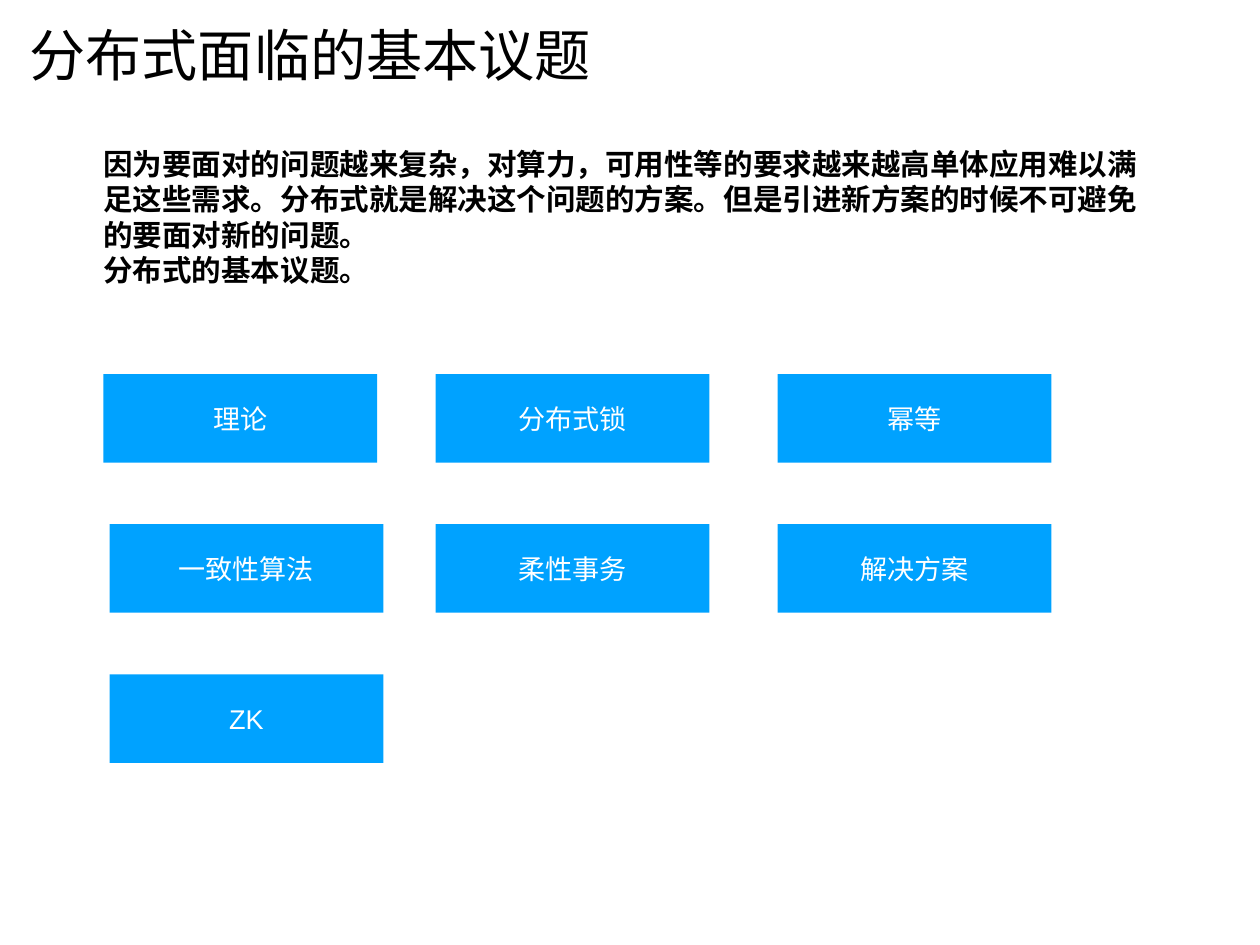
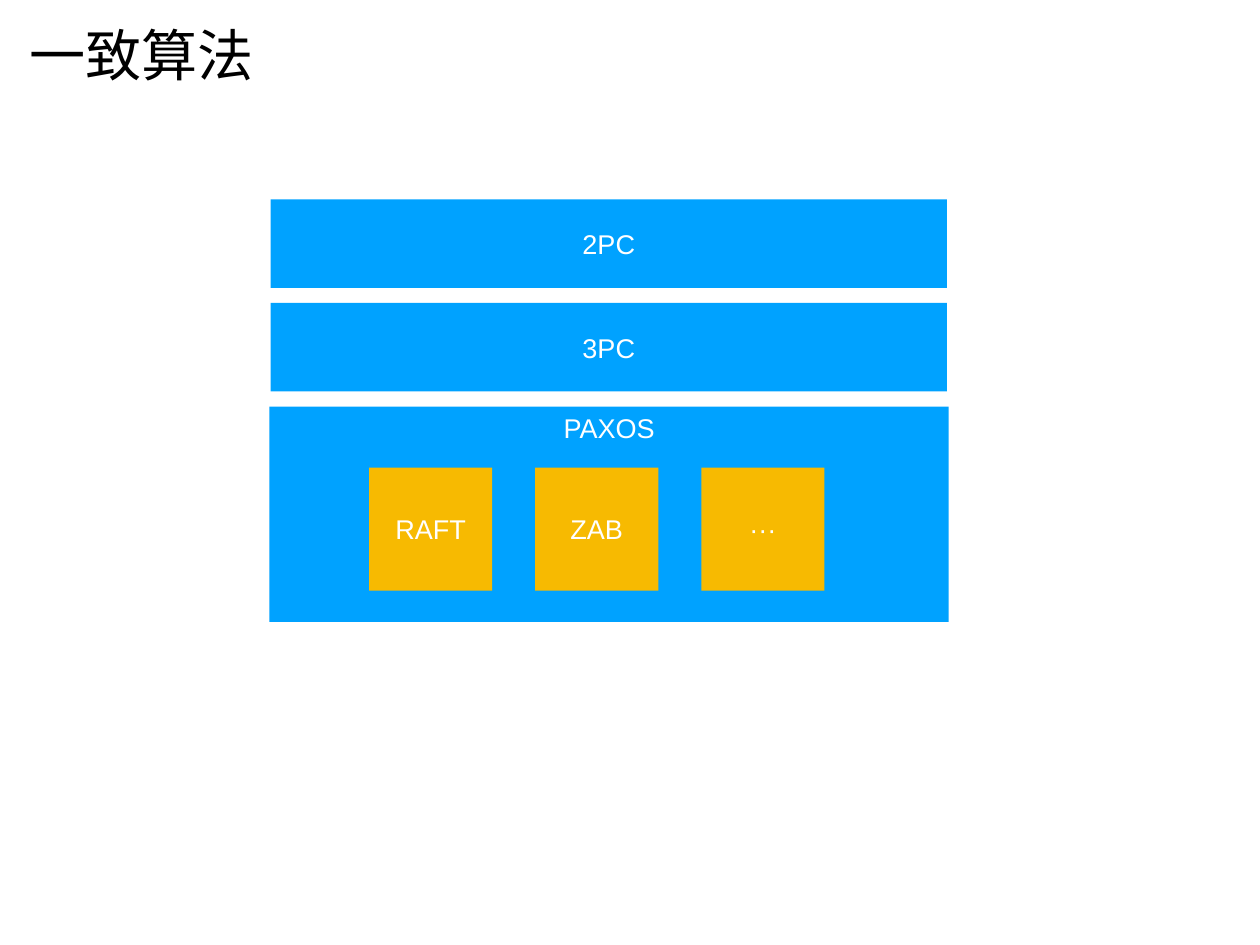
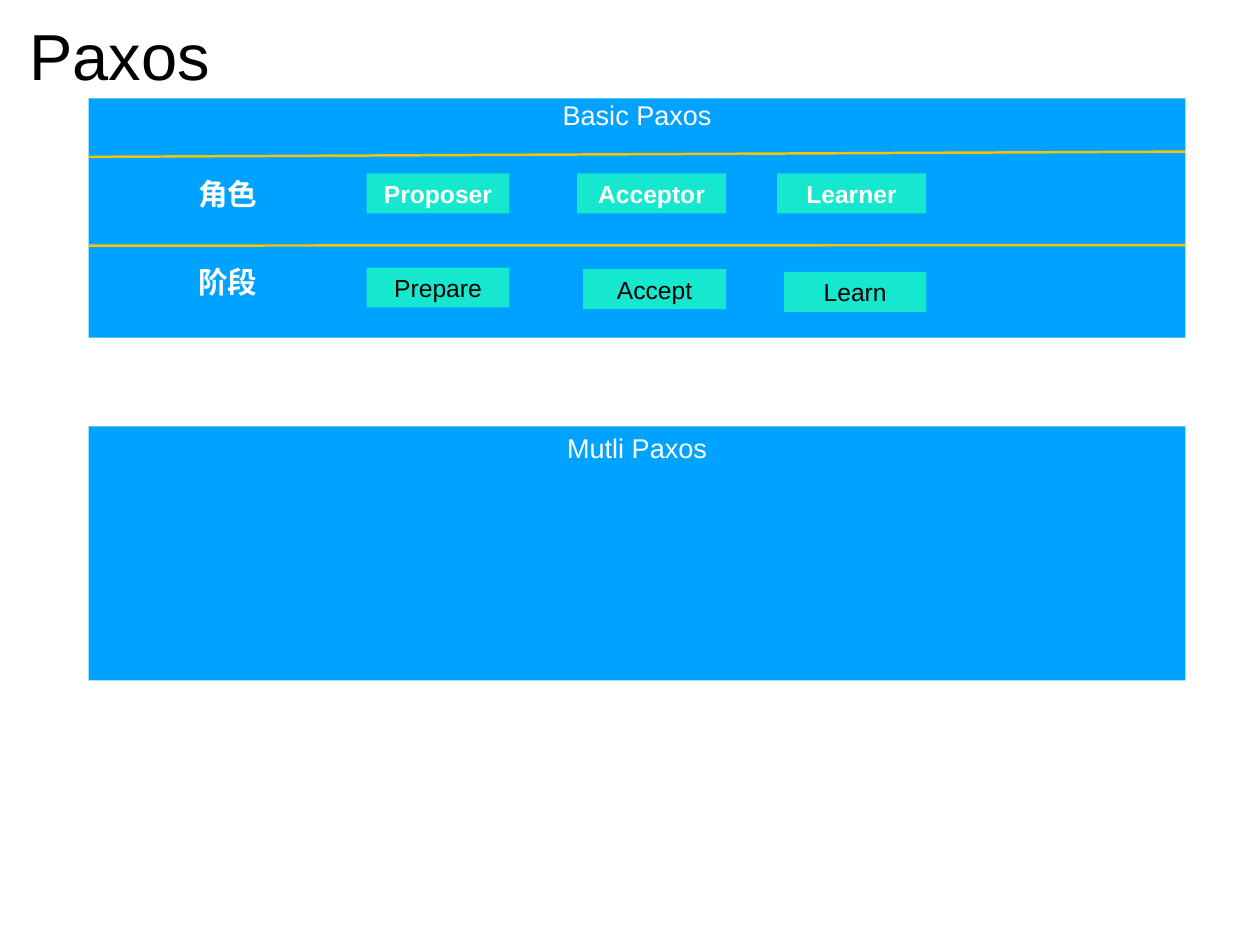
from dataclasses import dataclass

from lxml import etree
from pptx import Presentation
from pptx.dml.color import RGBColor
from pptx.enum.shapes import MSO_CONNECTOR as Link, MSO_SHAPE as Form
from pptx.enum.text import MSO_ANCHOR as Anchor, MSO_AUTO_SIZE as Fit, PP_ALIGN as Align
from pptx.oxml.ns import qn
from pptx.presentation import Presentation as Deck
from pptx.slide import Slide
from pptx.text.text import TextFrame
from pptx.util import Pt

WHITE = RGBColor(0xFF, 0xFF, 0xFF)
BLACK = RGBColor(0x00, 0x00, 0x00)
BLUE = RGBColor(0x00, 0xA2, 0xFF)
AMBER = RGBColor(0xF7, 0xBA, 0x01)
GOLD = RGBColor(0xFF, 0xC0, 0x00)
TEAL = RGBColor(0x16, 0xE7, 0xCF)
FONT = "Arial"
PAD = 4


@dataclass(frozen=True)
class Box:
    text: str
    x: float
    y: float
    w: float
    h: float
    fill: RGBColor = BLUE
    size: float = 22
    ink: RGBColor = WHITE
    bold: bool = False
    anchor: Anchor = Anchor.MIDDLE
    top: float = PAD
    grow: bool = False


@dataclass(frozen=True)
class Rule:
    x1: float
    y1: float
    x2: float
    y2: float


def write(frame: TextFrame, text: str, *, size: float, ink: RGBColor = BLACK,
          bold: bool = False, align: Align = Align.LEFT,
          anchor: Anchor = Anchor.MIDDLE, top: float = PAD, grow: bool = False) -> None:
    frame.word_wrap = True
    frame.auto_size = Fit.SHAPE_TO_FIT_TEXT if grow else Fit.NONE
    frame.vertical_anchor = anchor
    frame.margin_left = frame.margin_right = frame.margin_bottom = Pt(PAD)
    frame.margin_top = Pt(top)
    frame.text = text
    for para in frame.paragraphs:
        para.alignment = align
        for run in para.runs:
            font = run.font
            font.name, font.size, font.bold = FONT, Pt(size), bold
            font.color.rgb = ink


def page(deck: Deck, text: str, size: float = 45.6) -> Slide:
    slide = deck.slides.add_slide(deck.slide_layouts.get_by_name("Title Only"))
    title = slide.shapes.title
    title.left, title.top, title.width, title.height = Pt(20), Pt(8), Pt(984), Pt(72)
    write(title.text_frame, text, size=size)
    return slide


def block(slide: Slide, box: Box) -> None:
    shape = slide.shapes.add_shape(Form.RECTANGLE, Pt(box.x), Pt(box.y), Pt(box.w), Pt(box.h))
    shape.shadow.inherit = False
    shape.fill.solid()
    shape.fill.fore_color.rgb = box.fill
    shape.line.fill.background()
    write(shape.text_frame, box.text, size=box.size, ink=box.ink, bold=box.bold,
          align=Align.CENTER, anchor=box.anchor, top=box.top, grow=box.grow)


def note(slide: Slide, text: str, x: float, y: float, w: float, h: float,
         ink: RGBColor = BLACK, align: Align = Align.LEFT) -> None:
    shape = slide.shapes.add_textbox(Pt(x), Pt(y), Pt(w), Pt(h))
    write(shape.text_frame, text, size=24, ink=ink, bold=True, align=align, grow=True)


def draw(slide: Slide, rule: Rule) -> None:
    line = slide.shapes.add_connector(
        Link.STRAIGHT, Pt(rule.x1), Pt(rule.y1), Pt(rule.x2), Pt(rule.y2))
    line.line.color.rgb = GOLD
    line.line.width = Pt(2)
    etree.SubElement(line._element.spPr, qn("a:effectLst"))


def topics(deck: Deck) -> None:
    slide = page(deck, "分布式面临的基本议题")
    note(slide, "因为要面对的问题越来复杂，对算力，可用性等的要求越来越高单体应用难以满足这些需求。"
                "分布式就是解决这个问题的方案。但是引进新方案的时候不可避免的要面对新的问题。\n"
                "分布式的基本议题。", 80, 106.5, 864.5, 139.5)
    rows = [
        (84, ["理论", "分布式锁", "幂等"]),
        (89, ["一致性算法", "柔性事务", "解决方案"]),
        (89, ["ZK"]),
    ]
    for row, (left, names) in enumerate(rows):
        for x, name in zip((left, 354, 632), names):
            block(slide, Box(name, x, 304 + 122 * row, 222.5, 72))


def methods(deck: Deck) -> None:
    slide = page(deck, "一致算法")
    top, step = 162, 84.2
    for i, name in enumerate(["2PC", "3PC"]):
        block(slide, Box(name, 220, top + step * i, 549.5, 72))
    block(slide, Box("PAXOS", 219, top + step * 2, 552, 175, anchor=Anchor.TOP))
    for i, name in enumerate(["RAFT", "ZAB", "···"]):
        block(slide, Box(name, 300 + 135 * i, 380, 100, 100, fill=AMBER))


def paxos(deck: Deck) -> None:
    slide = page(deck, "Paxos", size=52.8)
    left, wide = 72, 891.5
    block(slide, Box("Basic Paxos", left, 80, wide, 194.5, anchor=Anchor.TOP, top=0))
    block(slide, Box("Mutli Paxos", left, 346.5, wide, 206.5, anchor=Anchor.TOP))
    roles = [("Proposer", 298, 116), ("Acceptor", 469, 121), ("Learner", 631.5, 121)]
    for name, x, w in roles:
        block(slide, Box(name, x, 141, w, 32.4, fill=TEAL, size=20, bold=True, grow=True))
    steps = [("Prepare", 298, 217.5), ("Accept", 474, 218.8), ("Learn", 637, 221)]
    for name, x, y in steps:
        block(slide, Box(name, x, y, 116, 32.4, fill=TEAL, size=20, ink=BLACK, grow=True))
    for name, y in [("角色", 139), ("阶段", 210.5)]:
        note(slide, name, 147, y, 76, 37.4, ink=WHITE, align=Align.CENTER)
    for start, end in [(127.5, 123.2), (199.6, 199.2)]:
        draw(slide, Rule(left, start, left + wide, end))


def main() -> None:
    deck = Presentation()
    deck.slide_width, deck.slide_height = Pt(1024), Pt(768)
    for build in (topics, methods, paxos):
        build(deck)
    deck.save("out.pptx")


if __name__ == "__main__":
    main()
